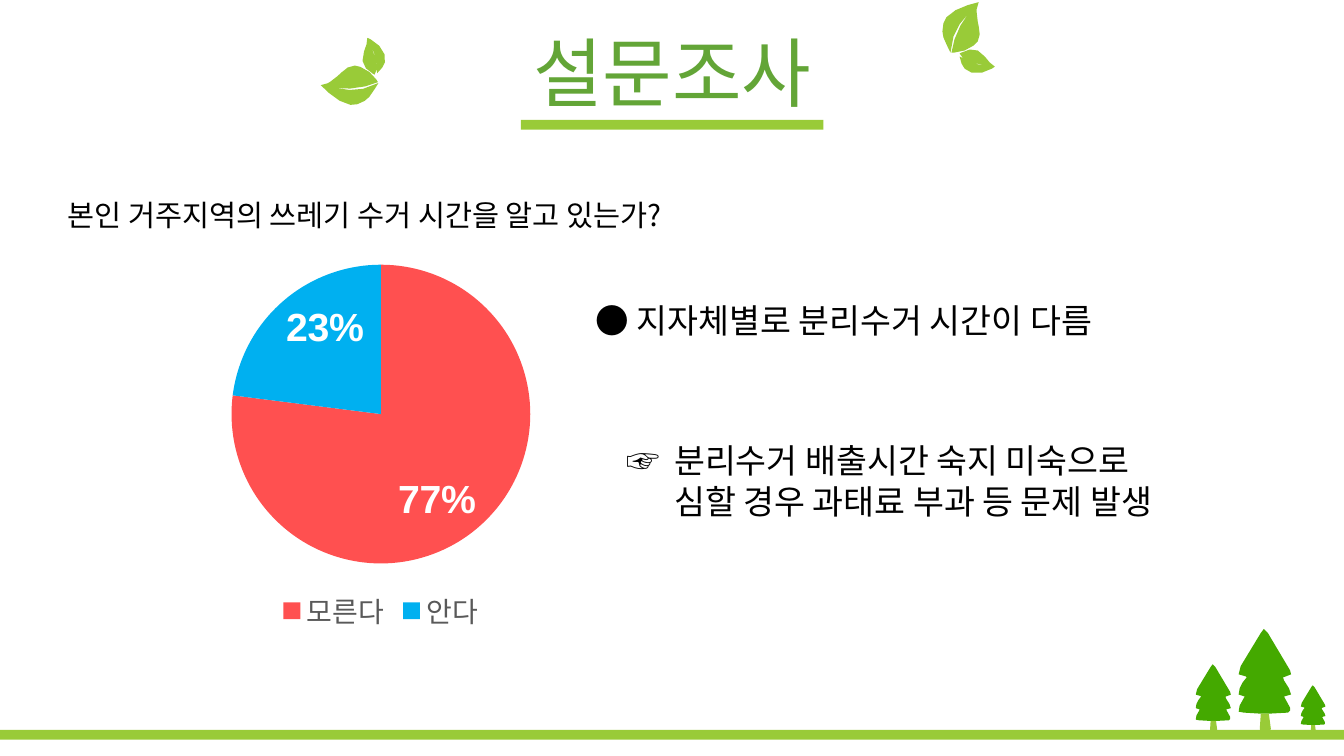
"""Build the survey slide: a pie chart of answers with findings, leaves and trees."""
from math import cos, radians, sin

from lxml import etree
from pptx import Presentation
from pptx.chart.data import CategoryChartData
from pptx.dml.color import RGBColor
from pptx.enum.chart import XL_CHART_TYPE, XL_LABEL_POSITION, XL_LEGEND_POSITION
from pptx.enum.shapes import MSO_SHAPE
from pptx.enum.text import MSO_ANCHOR, MSO_AUTO_SIZE, PP_ALIGN
from pptx.oxml.ns import qn
from pptx.util import Cm, Pt

PIE = XL_CHART_TYPE.PIE
INSIDE_END = XL_LABEL_POSITION.INSIDE_END
BOTTOM = XL_LEGEND_POSITION.BOTTOM
RECTANGLE = MSO_SHAPE.RECTANGLE
MIDDLE = MSO_ANCHOR.MIDDLE
FIT = MSO_AUTO_SIZE.SHAPE_TO_FIT_TEXT
CENTER = PP_ALIGN.CENTER

FONT = "Noto Sans CJK KR"
LIME, GREEN, TITLE_GREEN = "99CB38", "44A900", "63A537"

TREE = [(-3, 84), (-20, 83), (-25, 82), (-24, 76), (-19, 67), (-25, 65), (-24, 59),
        (-21, 53), (-17, 48), (-18, 47), (-25, 45), (-23, 37), (-3, 4), (0, 0),
        (4, 4), (26, 41), (27, 45), (22, 47), (19, 48), (20, 51), (25, 59),
        (27, 65), (20, 67), (26, 78), (26, 81), (24, 83), (5, 84)]
TRUNK = [(-3, 84), (5, 84), (7, 99), (5, 103), (1, 105), (-3, 103), (-4, 99)]
BIG_LEAF = [(-14, 25), (-11, 9), (-5, -3), (4, -14), (-4, -2), (-10, 12), (-13, 25),
            (-10, 25), (0, 23), (9, 18), (13, 14), (15, 7), (14, -1), (13, -6),
            (12, -15), (12, -18), (14, -25), (3, -22), (-9, -17), (-18, -10),
            (-21, -4), (-22, 4), (-21, 10), (-17, 19)]
SMALL_LEAF = [(21, 38), (8, 35), (-5, 29), (-3, 36), (0, 41), (7, 45), (13, 45),
              (17, 45), (22, 43), (27, 41), (30, 39), (25, 35), (20, 29), (13, 23),
              (5, 22), (-3, 25), (-5, 26), (-2, 30), (1, 32), (5, 34), (14, 37)]


def rgb(color):
    return RGBColor.from_string(color)


def draw_outline(points, x, y, size, angle, color):
    c, n = cos(radians(angle)), sin(radians(angle))
    placed = [(Cm(x + (px * c - py * n) * size / 100),
               Cm(y + (px * n + py * c) * size / 100)) for px, py in points]
    builder = s.shapes.build_freeform(*placed[0])
    builder.add_line_segments(placed[1:])
    outline = builder.convert_to_shape()
    outline.shadow.inherit = False
    outline.fill.solid()
    outline.fill.fore_color.rgb = rgb(color)
    outline.line.fill.background()


prs = Presentation()
prs.slide_width, prs.slide_height = Cm(33.87), Cm(19.05)
s = prs.slides.add_slide(prs.slide_layouts[6])

for x, y, size in [(31.85, 15.85, 2.54), (33.08, 17.27, 1.19), (30.56, 16.74, 1.7)]:
    draw_outline(TREE, x, y, size, 0, GREEN)
    draw_outline(TRUNK, x, y, size, 0, LIME)

for x, y, angle in [(24.31, 0.69, 0), (8.81, 2.12, 238.6)]:
    draw_outline(BIG_LEAF, x, y, 2.54, angle, LIME)
    draw_outline(SMALL_LEAF, x, y, 2.54, angle, LIME)

for x, y, width in [(13.13, 3.02, 7.62), (0, 18.39, 33.87)]:
    bar = s.shapes.add_shape(RECTANGLE, Cm(x), Cm(y), Cm(width), Cm(0.25))
    bar.shadow.inherit = False
    bar.fill.solid()
    bar.fill.fore_color.rgb = rgb(LIME)
    bar.line.fill.background()

data = CategoryChartData()
data.categories = ["모른다", "안다"]
data.add_series("Series 1", [77, 23])
chart = s.shapes.add_chart(PIE, Cm(2.31), Cm(6.32), Cm(14.58), Cm(9.73), data).chart
chart.has_title = False
chart.font.name, chart.font.size = "Arial", Pt(10)
chart.has_legend = True
chart.legend.position = BOTTOM
chart.legend.include_in_layout = False
chart.legend.font.name, chart.legend.font.size = "Arial", Pt(20)
chart.legend.font.color.rgb = rgb("595959")
plot = chart.plots[0]
plot.vary_by_categories = True
for i, color in enumerate(["FF5050", "00B0F0"]):
    fill = plot.series[0].points[i].format.fill
    fill.solid()
    fill.fore_color.rgb = rgb(color)
plot.has_data_labels = True
labels = plot.data_labels
labels.show_percentage, labels.show_value = True, False
labels.number_format, labels.number_format_is_linked = "0%", False
labels.position = INSIDE_END
labels.font.name, labels.font.size, labels.font.bold = "Arial", Pt(28), True
labels.font.color.rgb = rgb("FFFFFF")

texts = [
    (0.86, 0.94, 32.16, 2.01, 54, TITLE_GREEN, "설문조사"),
    (1.45, 4.83, 17.4, 1.14, 21, "000000", "본인 거주지역의 쓰레기 수거 시간을 알고 있는가?"),
    (14.76, 7.44, 14.48, 1.27, 24, "000000", "● 지자체별로 분리수거 시간이 다름"),
    (15.54, 10.97, 15.62, 2.31, 24, "000000",
     "☞\t분리수거 배출시간 숙지 미숙으로\n심할 경우 과태료 부과 등 문제 발생"),
]
boxes = []
for x, y, width, height, size, color, text in texts:
    tf = s.shapes.add_textbox(Cm(x), Cm(y), Cm(width), Cm(height)).text_frame
    tf.word_wrap = False
    tf.auto_size = FIT
    tf.text = text
    for p in tf.paragraphs:
        for r in p.runs:
            r.font.name, r.font.size = FONT, Pt(size)
            r.font.color.rgb = rgb(color)
            etree.SubElement(r.font._element, qn("a:ea"), typeface=FONT)
    boxes.append(tf)

title, finding = boxes[0], boxes[-1]
title.auto_size = MSO_AUTO_SIZE.NONE
title.word_wrap = True
title.vertical_anchor = MIDDLE
title.paragraphs[0].alignment = CENTER
title.paragraphs[0].line_spacing = 0.9

for p, indent in zip(finding.paragraphs, [-1.2, 0]):
    pPr = p._p.get_or_add_pPr()
    pPr.set("marL", str(Cm(1.2)))
    pPr.set("indent", str(Cm(indent)))

prs.save("out.pptx")
